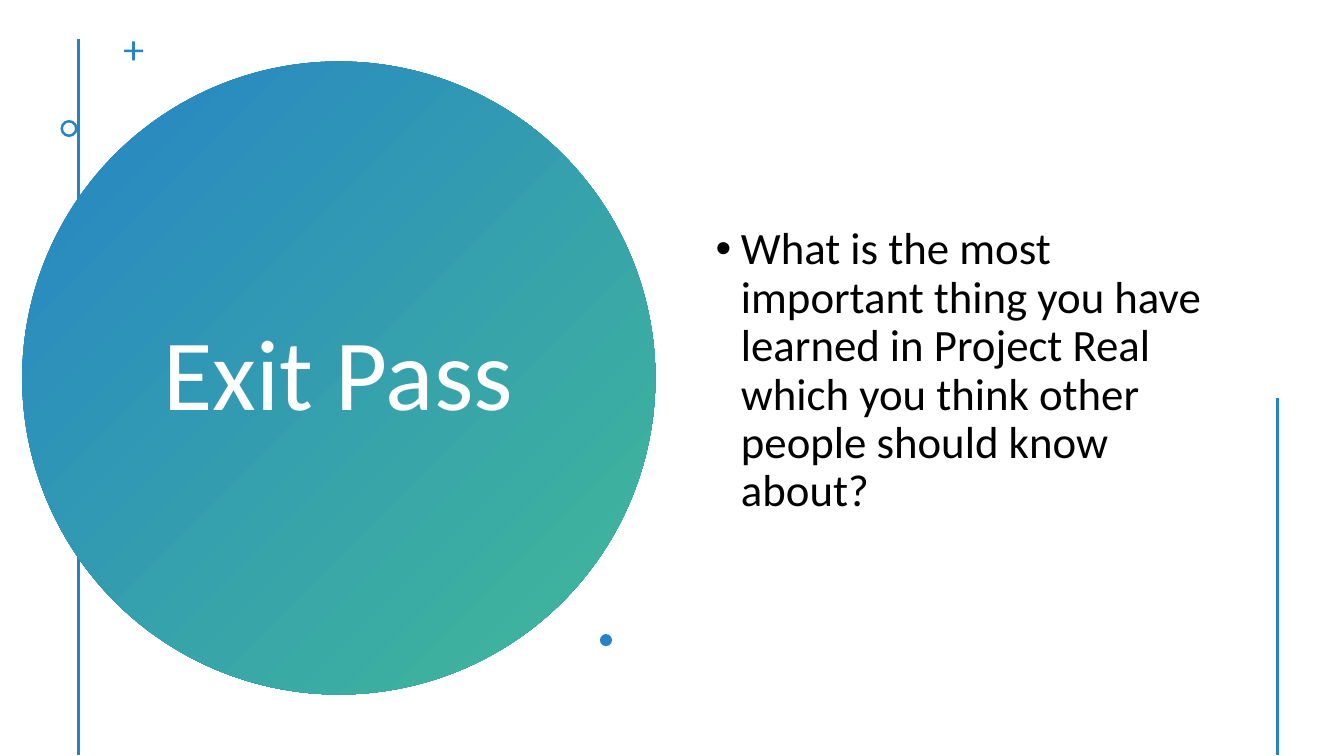
from lxml.etree import SubElement
from pptx import Presentation
from pptx.dml.color import RGBColor
from pptx.enum.shapes import MSO_CONNECTOR, MSO_SHAPE
from pptx.enum.text import MSO_ANCHOR, MSO_AUTO_SIZE, PP_ALIGN
from pptx.oxml.ns import qn
from pptx.util import Inches, Pt

COLORS = {"blue": "2683C6", "green": "42BA97", "white": "FFFFFF", "black": "000000"}
FONT = "Calibri"


def color(name):
    return RGBColor.from_string(COLORS[name])


def write(shape, text, size, ink, align=PP_ALIGN.LEFT, before=0, bullet=None):
    """Fill a shape with one formatted paragraph, centred vertically."""
    frame = shape.text_frame
    frame.word_wrap = True
    frame.auto_size = MSO_AUTO_SIZE.NONE
    frame.vertical_anchor = MSO_ANCHOR.MIDDLE
    para = frame.paragraphs[0]
    para.alignment = align
    para.line_spacing = 0.9
    para.space_before = Pt(before)
    run = para.add_run()
    run.text = text
    run.font.name = FONT
    run.font.size = Pt(size)
    run.font.color.rgb = color(ink)
    if bullet:
        props = para._p.get_or_add_pPr()
        indent = Inches(0.25)
        props.set("marL", str(indent))
        props.set("indent", str(-indent))
        SubElement(props, qn("a:buFont"), typeface="Arial")
        SubElement(props, qn("a:buChar"), char=bullet)


class Deck:
    """Holds the presentation, its accent colour and the current slide."""

    def __init__(self, accent):
        self.accent = color(accent)
        self.show = Presentation()
        self.show.slide_width = Inches(13.33)
        self.show.slide_height = Inches(7.5)
        self.slide = self.show.slides.add_slide(self.show.slide_layouts[5])

    def rule(self, x, top, bottom):
        line = self.slide.shapes.add_connector(
            MSO_CONNECTOR.STRAIGHT, Inches(x), Inches(top), Inches(x), Inches(bottom))
        line.line.color.rgb = self.accent
        line.line.width = Pt(2)
        SubElement(line.element.spPr, qn("a:effectLst"))

    def mark(self, kind, left, top, size, adjust=None):
        shape = self.slide.shapes.add_shape(
            kind, Inches(left), Inches(top), Inches(size), Inches(size))
        shape.shadow.inherit = False
        shape.line.fill.background()
        shape.fill.solid()
        shape.fill.fore_color.rgb = self.accent
        if adjust is not None:
            shape.adjustments[0] = adjust
        return shape

    def disc(self, left, top, size, start, end):
        fill = self.mark(MSO_SHAPE.OVAL, left, top, size).fill
        fill.gradient()
        fill.gradient_angle = 315
        for stop, name, place in zip(fill.gradient_stops, (start, end), (0, 1)):
            stop.color.rgb = color(name)
            stop.position = place

    def title(self, text, left, top, width, height, **style):
        shape = self.slide.shapes.title
        shape.left, shape.top = Inches(left), Inches(top)
        shape.width, shape.height = Inches(width), Inches(height)
        # Bring the title in front of the disc
        shape.element.getparent().append(shape.element)
        write(shape, text, **style)

    def text(self, text, left, top, width, height, **style):
        box = self.slide.shapes.add_textbox(
            Inches(left), Inches(top), Inches(width), Inches(height))
        write(box, text, **style)


def main():
    deck = Deck("blue")

    # Left rule and title disc
    deck.rule(0.78, 0.39, 7.49)
    deck.disc(0.22, 0.61, 6.28, "blue", "green")
    deck.title("Exit Pass", 1.36, 1.41, 3.99, 4.67,
               size=72, ink="white", align=PP_ALIGN.CENTER)

    # Small marks around the disc
    deck.mark(MSO_SHAPE.CROSS, 1.23, 0.41, 0.19, adjust=0.43)
    deck.mark(MSO_SHAPE.DONUT, 0.6, 1.19, 0.17, adjust=0.15)
    deck.mark(MSO_SHAPE.OVAL, 5.95, 6.29, 0.12)

    # Question and right rule
    deck.text("What is the most important thing you have learned in Project Real "
              "which you think other people should know about?",
              7, 0.42, 5.12, 6.53, size=32, ink="black", before=10, bullet="•")
    deck.rule(12.67, 3.95, 7.49)

    deck.show.save("out.pptx")


if __name__ == "__main__":
    main()
